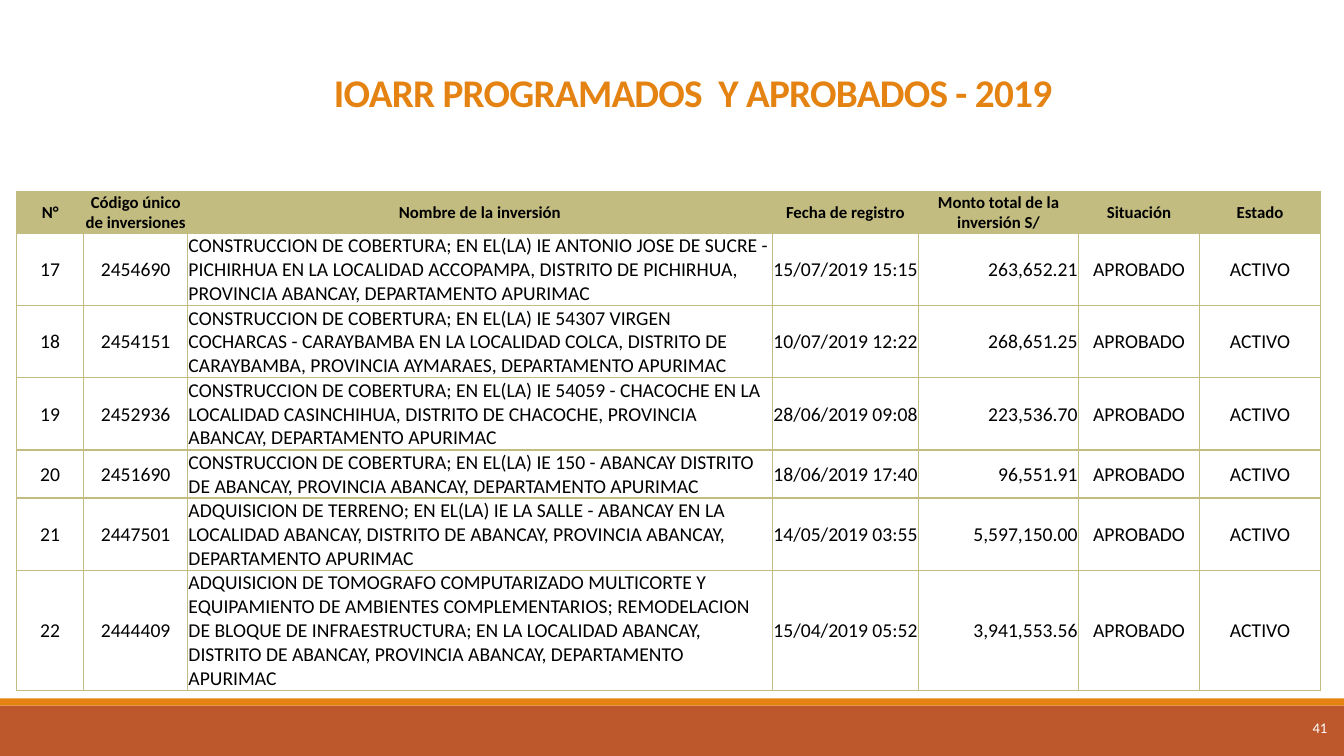
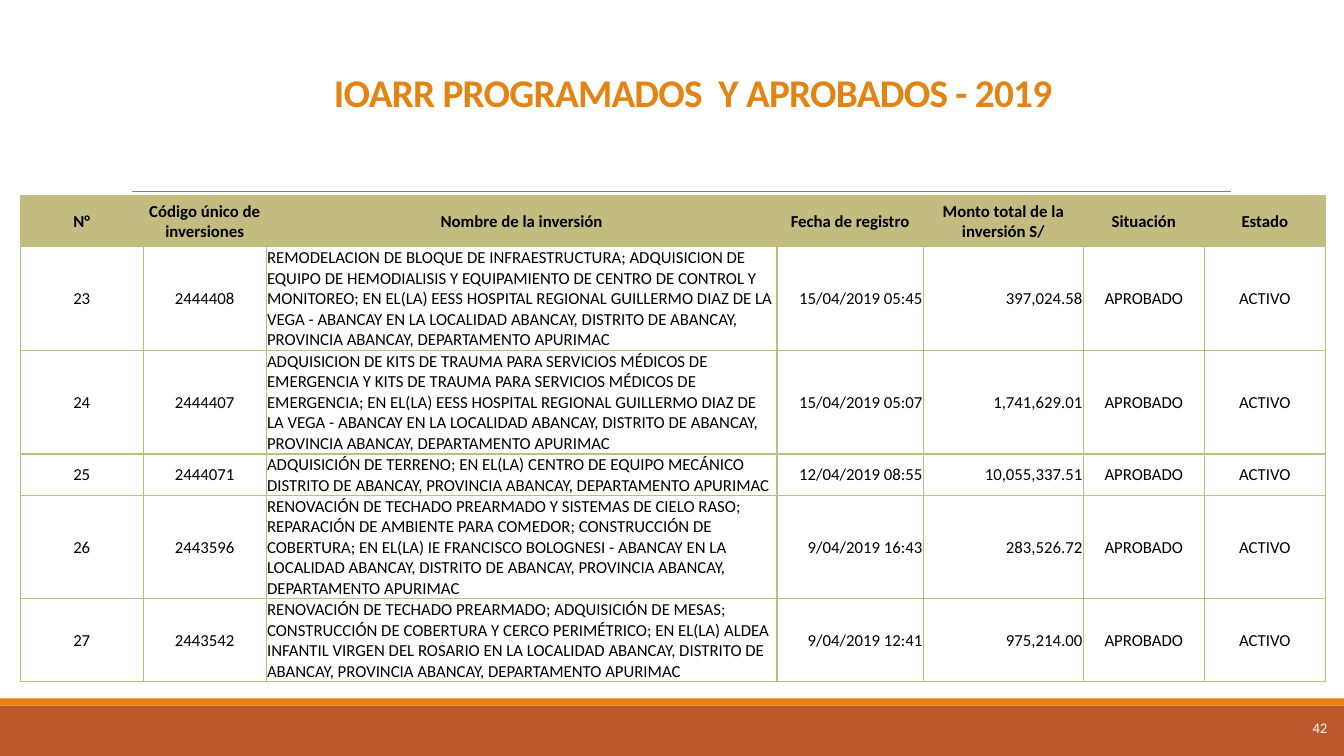
import pptx
import pptx.dml.color
import pptx.enum.shapes
import pptx.enum.text
import pptx.oxml
import pptx.oxml.ns
import pptx.util

Cm = pptx.util.Cm
Pt = pptx.util.Pt
ALIGN = pptx.enum.text.PP_ALIGN
MIDDLE = pptx.enum.text.MSO_ANCHOR.MIDDLE

FONT = "Calibri"
ORANGE = "E48312"
RUST = "BD582C"
OLIVE = "C2BC80"
GRAY = "808080"
WHITE = "FFFFFF"
BLACK = "000000"

WIDTH, HEIGHT = 33.87, 19.05
FOOTER_TOP = 17.6
TITLE = "IOARR PROGRAMADOS  Y APROBADOS - 2019"
HEADERS = ["N°", "Código único de inversiones", "Nombre de la inversión",
           "Fecha de registro", "Monto total de la inversión S/",
           "Situación", "Estado"]
STATUS = ["APROBADO", "ACTIVO"]
ALIGNMENTS = [ALIGN.CENTER, ALIGN.CENTER, ALIGN.LEFT, ALIGN.RIGHT,
              ALIGN.RIGHT, ALIGN.CENTER, ALIGN.CENTER]
SHARED_COLS = [3.69, 4.03, 3.05, 3.05]

PAGES = [
    {
        "number": "41", "left": 0.42, "top": 4.82, "size": 14,
        "cols": [1.69, 2.62, 14.73],
        "heights": [1.06, 1.82, 1.82, 1.82, 1.21, 1.82, 3.02],
        "rows": [
            ["17", "2454690",
             "CONSTRUCCION DE COBERTURA; EN EL(LA) IE ANTONIO JOSE DE SUCRE - "
             "PICHIRHUA EN LA LOCALIDAD ACCOPAMPA, DISTRITO DE PICHIRHUA, "
             "PROVINCIA ABANCAY, DEPARTAMENTO APURIMAC",
             "15/07/2019 15:15", "263,652.21"],
            ["18", "2454151",
             "CONSTRUCCION DE COBERTURA; EN EL(LA) IE 54307 VIRGEN "
             "COCHARCAS - CARAYBAMBA EN LA LOCALIDAD COLCA, DISTRITO DE "
             "CARAYBAMBA, PROVINCIA AYMARAES, DEPARTAMENTO APURIMAC",
             "10/07/2019 12:22", "268,651.25"],
            ["19", "2452936",
             "CONSTRUCCION DE COBERTURA; EN EL(LA) IE 54059 - CHACOCHE EN LA "
             "LOCALIDAD CASINCHIHUA, DISTRITO DE CHACOCHE, PROVINCIA "
             "ABANCAY, DEPARTAMENTO APURIMAC",
             "28/06/2019 09:08", "223,536.70"],
            ["20", "2451690",
             "CONSTRUCCION DE COBERTURA; EN EL(LA) IE 150 - ABANCAY DISTRITO "
             "DE ABANCAY, PROVINCIA ABANCAY, DEPARTAMENTO APURIMAC",
             "18/06/2019 17:40", "96,551.91"],
            ["21", "2447501",
             "ADQUISICION DE TERRENO; EN EL(LA) IE LA SALLE - ABANCAY EN LA "
             "LOCALIDAD ABANCAY, DISTRITO DE ABANCAY, PROVINCIA ABANCAY, "
             "DEPARTAMENTO APURIMAC",
             "14/05/2019 03:55", "5,597,150.00"],
            ["22", "2444409",
             "ADQUISICION DE TOMOGRAFO COMPUTARIZADO MULTICORTE Y "
             "EQUIPAMIENTO DE AMBIENTES COMPLEMENTARIOS; REMODELACION "
             "DE BLOQUE DE INFRAESTRUCTURA; EN LA LOCALIDAD ABANCAY, "
             "DISTRITO DE ABANCAY, PROVINCIA ABANCAY, DEPARTAMENTO APURIMAC",
             "15/04/2019 05:52", "3,941,553.56"],
        ],
    },
    {
        "number": "42", "left": 0.51, "top": 4.93, "size": 12,
        "cols": [3.1, 3.1, 12.87],
        "heights": [1.29, 2.61, 2.61, 1.04, 2.61, 2.08],
        "rows": [
            ["23", "2444408",
             "REMODELACION DE BLOQUE DE INFRAESTRUCTURA; ADQUISICION DE "
             "EQUIPO DE HEMODIALISIS Y EQUIPAMIENTO DE CENTRO DE CONTROL Y "
             "MONITOREO; EN EL(LA) EESS HOSPITAL REGIONAL GUILLERMO DIAZ DE LA "
             "VEGA - ABANCAY EN LA LOCALIDAD ABANCAY, DISTRITO DE ABANCAY, "
             "PROVINCIA ABANCAY, DEPARTAMENTO APURIMAC",
             "15/04/2019 05:45", "397,024.58"],
            ["24", "2444407",
             "ADQUISICION DE KITS DE TRAUMA PARA SERVICIOS MÉDICOS DE "
             "EMERGENCIA Y KITS DE TRAUMA PARA SERVICIOS MÉDICOS DE "
             "EMERGENCIA; EN EL(LA) EESS HOSPITAL REGIONAL GUILLERMO DIAZ DE "
             "LA VEGA - ABANCAY EN LA LOCALIDAD ABANCAY, DISTRITO DE ABANCAY, "
             "PROVINCIA ABANCAY, DEPARTAMENTO APURIMAC",
             "15/04/2019 05:07", "1,741,629.01"],
            ["25", "2444071",
             "ADQUISICIÓN DE TERRENO; EN EL(LA) CENTRO DE EQUIPO MECÁNICO "
             "DISTRITO DE ABANCAY, PROVINCIA ABANCAY, DEPARTAMENTO APURIMAC",
             "12/04/2019 08:55", "10,055,337.51"],
            ["26", "2443596",
             "RENOVACIÓN DE TECHADO PREARMADO Y SISTEMAS DE CIELO RASO; "
             "REPARACIÓN DE AMBIENTE PARA COMEDOR; CONSTRUCCIÓN DE "
             "COBERTURA; EN EL(LA) IE FRANCISCO BOLOGNESI - ABANCAY EN LA "
             "LOCALIDAD ABANCAY, DISTRITO DE ABANCAY, PROVINCIA ABANCAY, "
             "DEPARTAMENTO APURIMAC",
             "9/04/2019 16:43", "283,526.72"],
            ["27", "2443542",
             "RENOVACIÓN DE TECHADO PREARMADO; ADQUISICIÓN DE MESAS; "
             "CONSTRUCCIÓN DE COBERTURA Y CERCO PERIMÉTRICO; EN EL(LA) ALDEA "
             "INFANTIL VIRGEN DEL ROSARIO EN LA LOCALIDAD ABANCAY, DISTRITO DE "
             "ABANCAY, PROVINCIA ABANCAY, DEPARTAMENTO APURIMAC",
             "9/04/2019 12:41", "975,214.00"],
        ],
    },
]


def rgb(value):
    return pptx.dml.color.RGBColor.from_string(value)


def format_text(tf, text, size, color, align, bold=False):
    tf.text = text
    p = tf.paragraphs[0]
    p.alignment = align
    r = p.runs[0]
    r.font.name = FONT
    r.font.size = Pt(size)
    r.font.bold = bold
    r.font.color.rgb = rgb(color)
    return r


def set_margins(obj, side, bottom=0):
    obj.margin_left = obj.margin_right = obj.margin_top = Cm(side)
    obj.margin_bottom = Cm(bottom)


def add_band(slide, top, height, color):
    sp = slide.shapes.add_shape(pptx.enum.shapes.MSO_SHAPE.RECTANGLE,
                                0, Cm(top), Cm(WIDTH), Cm(height))
    sp.shadow.inherit = False
    sp.fill.solid()
    sp.fill.fore_color.rgb = rgb(color)
    sp.line.fill.background()


def add_rule(slide, left, right, top):
    line = slide.shapes.add_connector(pptx.enum.shapes.MSO_CONNECTOR.STRAIGHT,
                                      Cm(left), Cm(top), Cm(right), Cm(top))
    line.line.color.rgb = rgb(GRAY)
    line.line.width = Pt(0.5)
    sp_pr = line._element.spPr
    sp_pr.append(pptx.oxml.parse_xml(
        f'<a:effectLst {pptx.oxml.ns.nsdecls("a")}/>'))


def add_page_number(slide, number):
    sp = slide.shapes.add_textbox(Cm(31.42), Cm(FOOTER_TOP), Cm(2.03),
                                  Cm(HEIGHT - FOOTER_TOP))
    tf = sp.text_frame
    tf.word_wrap = True
    tf.vertical_anchor = MIDDLE
    set_margins(tf, 0)
    format_text(tf, number, 10.5, WHITE, ALIGN.RIGHT)


def set_title(slide, text):
    sp = slide.shapes.title
    sp.left, sp.top, sp.width, sp.height = Cm(2.79), Cm(1.45), Cm(29.34), Cm(1.45)
    tf = sp.text_frame
    tf.word_wrap = True
    tf.auto_size = pptx.enum.text.MSO_AUTO_SIZE.NONE
    tf.vertical_anchor = pptx.enum.text.MSO_ANCHOR.BOTTOM
    set_margins(tf, 0)
    r = format_text(tf, text, 28, ORANGE, ALIGN.CENTER, True)
    r.font._element.set("spc", "-50")


def set_borders(cell, color, width):
    tc_pr = cell._tc.get_or_add_tcPr()
    for i, side in enumerate(("lnL", "lnR", "lnT", "lnB")):
        tc_pr.insert(i, pptx.oxml.parse_xml(
            f'<a:{side} {pptx.oxml.ns.nsdecls("a")} w="{Pt(width)}">'
            f'<a:solidFill><a:srgbClr val="{color}"/></a:solidFill></a:{side}>'))


def format_cell(cell, text, size, align, header):
    if header:
        cell.fill.solid()
        cell.fill.fore_color.rgb = rgb(OLIVE)
    else:
        cell.fill.background()
    set_borders(cell, OLIVE, 1)
    cell.vertical_anchor = MIDDLE
    set_margins(cell, 0.02)
    format_text(cell.text_frame, text, size, BLACK, align, header)


def add_investments(slide, page):
    widths = page["cols"] + SHARED_COLS
    heights = page["heights"]
    rows = [HEADERS] + [row + STATUS for row in page["rows"]]
    frame = slide.shapes.add_table(len(rows), len(widths), Cm(page["left"]),
                                   Cm(page["top"]), Cm(sum(widths)),
                                   Cm(sum(heights)))
    table = frame.table
    table.horz_banding = False
    for column, width in zip(table.columns, widths):
        column.width = Cm(width)
    for i, (row, height) in enumerate(zip(rows, heights)):
        table.rows[i].height = Cm(height)
        header = i == 0
        for j, text in enumerate(row):
            format_cell(table.cell(i, j), text, 12 if header else page["size"],
                        ALIGN.CENTER if header else ALIGNMENTS[j], header)


def add_page(prs, page):
    slide = prs.slides.add_slide(prs.slide_layouts.get_by_name("Title Only"))
    add_band(slide, 17.78, 1.27, RUST)
    add_band(slide, FOOTER_TOP, 0.18, ORANGE)
    add_rule(slide, 3.33, 31.01, 4.82)
    add_page_number(slide, page["number"])
    add_investments(slide, page)
    set_title(slide, TITLE)


def main():
    prs = pptx.Presentation()
    prs.slide_width = Cm(WIDTH)
    prs.slide_height = Cm(HEIGHT)
    for page in PAGES:
        add_page(prs, page)
    prs.save("out.pptx")


if __name__ == "__main__":
    main()
